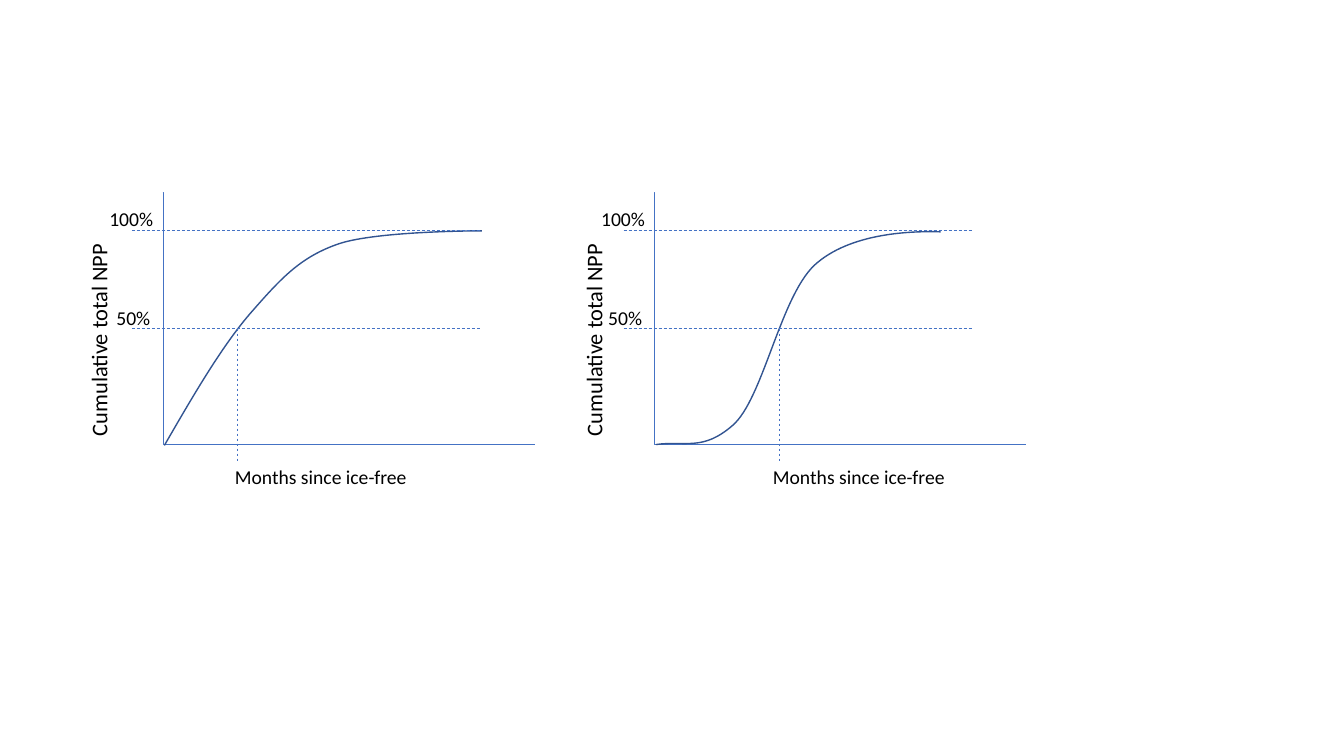
from dataclasses import dataclass

from lxml.etree import SubElement
from pptx import Presentation
from pptx.dml.color import RGBColor
from pptx.enum.dml import MSO_LINE
from pptx.enum.shapes import MSO_CONNECTOR
from pptx.enum.text import MSO_AUTO_SIZE
from pptx.oxml.ns import qn
from pptx.util import Pt

AXIS_BLUE = RGBColor(0x44, 0x72, 0xC4)
CURVE_BLUE = RGBColor(0x32, 0x54, 0x91)
BLACK = RGBColor(0, 0, 0)
FONT = "Calibri"

AXIS_TOP, AXIS_BOTTOM, AXIS_WIDTH = 137.5, 317.5, 265.7
LEVELS = {"100%": 164.9, "50%": 234.7}
GUIDE_OVERHANG, GUIDE_WIDTH = 22, 250
HALFWAY_BOTTOM = 330.5


@dataclass
class Panel:
    """One cumulative curve; each segment holds two controls and an end point."""
    axis_x: float
    halfway_x: float
    month_label_x: float
    npp_label_x: float
    start: tuple
    segments: list


PANELS = [
    Panel(116.2, 169.9, 160.6, -23.8, (117.4, 318.2), [
        [(138.2, 282.2), (159.1, 246.2), (180, 222.5)],
        [(200.9, 198.7), (214.6, 183.6), (241.9, 174.2)],
        [(269.3, 164.9), (344.2, 164.9), (344.2, 164.9)],
    ]),
    Panel(467.5, 556.6, 545, 329.8, (468.7, 317.5), [
        [(489.6, 314.6), (501.8, 322.6), (523.4, 303.8)],
        [(545, 285.1), (557.3, 212.4), (581.8, 189.4)],
        [(607, 166.3), (650.9, 164.9), (671.8, 165.6)],
    ]),
]


def add_line(slide, start, end, kind=MSO_CONNECTOR.STRAIGHT, dash=None):
    """Draw a thin blue connector without a shadow."""
    connector = slide.shapes.add_connector(kind, *map(Pt, start + end))
    connector.line.color.rgb = AXIS_BLUE
    connector.line.width = Pt(0.5)
    if dash:
        connector.line.dash_style = dash
    SubElement(connector._element.spPr, qn("a:effectLst"))
    return connector


def add_axes(slide, x):
    """Draw both axes as one elbow that bends at the left edge."""
    axes = add_line(slide, (x, AXIS_TOP), (x + AXIS_WIDTH, AXIS_BOTTOM),
                    MSO_CONNECTOR.ELBOW)
    bends = axes._element.spPr.find(qn("a:prstGeom")).get_or_add_avLst()
    SubElement(bends, qn("a:gd"), name="adj1", fmla="val 100")


def add_curve(slide, start, segments):
    """Draw a freeform through the end points and bend its segments."""
    builder = slide.shapes.build_freeform(*map(Pt, start))
    builder.add_line_segments(
        [tuple(map(Pt, segment[-1])) for segment in segments], close=False)
    curve = builder.convert_to_shape()
    curve.fill.background()
    curve.line.color.rgb = CURVE_BLUE
    curve.line.width = Pt(1)
    curve.shadow.inherit = False
    straights = list(curve._element.iter(qn("a:lnTo")))
    for straight, segment in zip(straights, segments):
        straight.tag = qn("a:cubicBezTo")
        for point in list(straight):
            straight.remove(point)
        for x, y in segment:
            SubElement(straight, qn("a:pt"), x=str(Pt(x) - curve.left),
                       y=str(Pt(y) - curve.top))


def add_label(slide, text, left, top, width, height=24.5, size=14, rotation=0):
    """Add a one-line black label."""
    label = slide.shapes.add_textbox(*map(Pt, (left, top, width, height)))
    label.rotation = rotation
    frame = label.text_frame
    frame.word_wrap = True
    frame.auto_size = MSO_AUTO_SIZE.SHAPE_TO_FIT_TEXT
    run = frame.paragraphs[0].add_run()
    run.text = text
    run.font.name = FONT
    run.font.size = Pt(size)
    run.font.color.rgb = BLACK


def add_panel(slide, panel):
    """Draw axes, curve, guides and labels of one panel."""
    add_axes(slide, panel.axis_x)
    add_curve(slide, panel.start, panel.segments)
    guide_x = panel.axis_x - GUIDE_OVERHANG
    for y in LEVELS.values():
        add_line(slide, (guide_x, y), (guide_x + GUIDE_WIDTH, y),
                 dash=MSO_LINE.DASH)
    add_line(slide, (panel.halfway_x, LEVELS["50%"]),
             (panel.halfway_x, HALFWAY_BOTTOM), dash=MSO_LINE.DASH)
    add_label(slide, "Months since ice-free", panel.month_label_x, 328.3, 140.4)
    add_label(slide, "Cumulative total NPP", panel.npp_label_x, 211, 188.6,
              height=26.6, size=16, rotation=270)
    add_label(slide, "50%", panel.axis_x - 40.2, 214.9, 49.7)
    add_label(slide, "100%", panel.axis_x - 45.2, 144, 59.8)


def main():
    """Build the slide with its two panels and save it."""
    deck = Presentation()
    deck.slide_width, deck.slide_height = Pt(960), Pt(540)
    slide = deck.slides.add_slide(deck.slide_layouts.get_by_name("Blank"))
    for panel in PANELS:
        add_panel(slide, panel)
    deck.save("out.pptx")


main()
